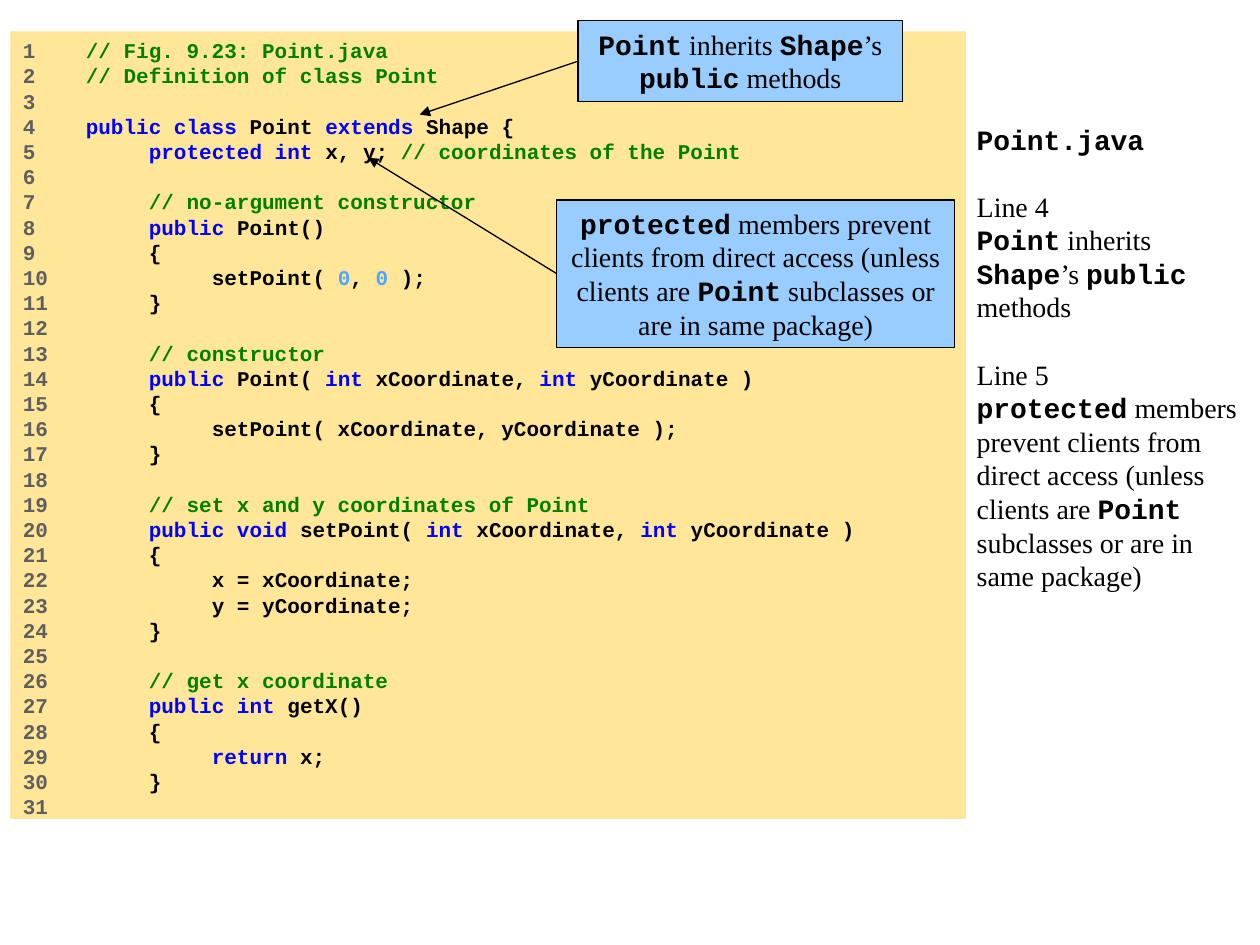
from dataclasses import dataclass
from itertools import groupby

from lxml import etree
from pptx import Presentation
from pptx import util as u
from pptx.dml.color import RGBColor
from pptx.enum import shapes, text
from pptx.oxml.ns import qn


@dataclass(frozen=True)
class Theme:
    mono: str = "Courier New"
    serif: str = "Times New Roman"
    ink: str = "000000"
    keyword: str = "0000FF"
    comment: str = "008000"
    literal: str = "4DA6FF"
    line_number: str = "5F5F5F"
    listing_fill: str = "FFE699"
    callout_fill: str = "99CCFF"
    code_size: int = 12
    note_size: int = 16
    leading: float = 1.2


theme = Theme()

KEYWORDS = {"public", "protected", "class", "extends", "int", "void", "return"}
INDENT = 3
CODE_COLUMNS = (5, 8, 11)  # where each level of the code starts, in characters
LISTING = """\
// Fig. 9.23: Point.java
// Definition of class Point

public class Point extends Shape {
   protected int x, y; // coordinates of the Point

   // no-argument constructor
   public Point()
   {
      setPoint( 0, 0 );
   }

   // constructor
   public Point( int xCoordinate, int yCoordinate )
   {
      setPoint( xCoordinate, yCoordinate );
   }

   // set x and y coordinates of Point
   public void setPoint( int xCoordinate, int yCoordinate )
   {
      x = xCoordinate;
      y = yCoordinate;
   }

   // get x coordinate
   public int getX()
   {
      return x;
   }

"""
# Text between backticks is set as code
INHERITS = "`Point` inherits `Shape`’s `public` methods"
PROTECTED = ("`protected` members prevent clients from direct access "
             "(unless clients are `Point` subclasses or are in same package)")


def write(paragraph, content, size=theme.note_size, color=theme.ink, before=0,
          align=text.PP_ALIGN.LEFT):
    """Add text to a paragraph, setting the parts in backticks as bold code."""
    paragraph.alignment = align
    paragraph.line_spacing = u.Pt(size * theme.leading)
    paragraph.space_before = u.Pt(before)
    paragraph.space_after = u.Pt(0)
    for i, part in enumerate(content.split("`")):
        if part:
            run = paragraph.add_run()
            run.text = part
            run.font.name = theme.mono if i % 2 else theme.serif
            run.font.bold = bool(i % 2)
            run.font.size = u.Pt(size)
            run.font.color.rgb = RGBColor.from_string(color)


def prepare(shape, fill=None):
    """Set the frame of a shape and return its text frame."""
    if fill:
        shape.fill.solid()
        shape.fill.fore_color.rgb = RGBColor.from_string(fill)
    frame = shape.text_frame
    frame.word_wrap = True
    frame.auto_size = text.MSO_AUTO_SIZE.NONE
    frame.vertical_anchor = text.MSO_ANCHOR.TOP
    frame.margin_left = frame.margin_right = u.Cm(0.25)
    frame.margin_top = frame.margin_bottom = u.Cm(0.13)
    return frame


deck = Presentation()
deck.slide_width, deck.slide_height = u.Cm(25.4), u.Cm(19.05)
slide = deck.slides.add_slide(deck.slide_layouts[0])

# Side notes
notes = slide.shapes.title
notes.left, notes.top, notes.width, notes.height = map(u.Cm, (19.69, 2.33, 5.71, 15.24))
notes_frame = prepare(notes)
notes_frame.margin_left = 0
blank_line = theme.note_size * theme.leading
for i, (note, before) in enumerate([("`Point.java`", 0), ("Line 4", blank_line), (INHERITS, 0),
                                    ("Line 5", blank_line), (PROTECTED, 0)]):
    paragraph = notes_frame.add_paragraph() if i else notes_frame.paragraphs[0]
    write(paragraph, note, before=before)

# Numbered code listing
listing = slide.placeholders[1]
listing.left, listing.top, listing.width, listing.height = map(u.Cm, (0.21, 0.63, 19.26, 15.88))
listing_frame = prepare(listing, theme.listing_fill)
for number, line in enumerate(LISTING.splitlines(), 1):
    paragraph = listing_frame.add_paragraph() if number > 1 else listing_frame.paragraphs[0]
    code = line.lstrip()
    level = (len(line) - len(code)) // INDENT

    # One tab leads to the code and one more to each level of it
    write(paragraph, f"`{number}" + ("\t" * (level + 1) if code else ""),
          size=theme.code_size, color=theme.line_number)
    tabs = etree.SubElement(paragraph._p.get_or_add_pPr(), qn("a:tabLst"))
    for column in CODE_COLUMNS:
        etree.SubElement(tabs, qn("a:tab"), pos=str(u.Cm(0.254 * column)), algn="l")

    # Colour each word by its role; a space keeps the colour before it
    statement, slashes, remark = code.partition("//")
    tokens, color = [], theme.ink
    for _, letters in groupby(statement, key=lambda c: "word" if c.isalnum() else c):
        token = "".join(letters)
        if not token.isspace():
            color = (theme.keyword if token in KEYWORDS
                     else theme.literal if token.isdigit() else theme.ink)
        tokens.append((color, token))
    tokens.append((theme.comment, slashes + remark))
    for color, group in groupby(tokens, key=lambda t: t[0]):
        write(paragraph, "`" + "".join(token for _, token in group),
              size=theme.code_size, color=color)

# Callouts, each with an arrow from its left edge to the code
for message, (left, top, width, height), target in [
    (PROTECTED, (11.22, 4.03, 8.03, 2.97), (7.42, 3.18)),
    (INHERITS, (11.65, 0.42, 6.55, 1.63), (8.46, 2.31)),
]:
    group = slide.shapes.add_group_shape()
    callout = group.shapes.add_shape(shapes.MSO_SHAPE.RECTANGLE,
                                     *map(u.Cm, (left, top, width, height)))
    callout.shadow.inherit = False
    arrow = group.shapes.add_connector(shapes.MSO_CONNECTOR.STRAIGHT,
                                       *map(u.Cm, (left, top + height / 2, *target)))
    for outlined in (callout, arrow):
        outlined.line.color.rgb = RGBColor.from_string(theme.ink)
        outlined.line.width = u.Pt(0.75)
    etree.SubElement(arrow.line._get_or_add_ln(), qn("a:tailEnd"), type="triangle")
    etree.SubElement(arrow._element.spPr, qn("a:effectLst"))
    write(prepare(callout, theme.callout_fill).paragraphs[0], message,
          align=text.PP_ALIGN.CENTER)

deck.save("out.pptx")
